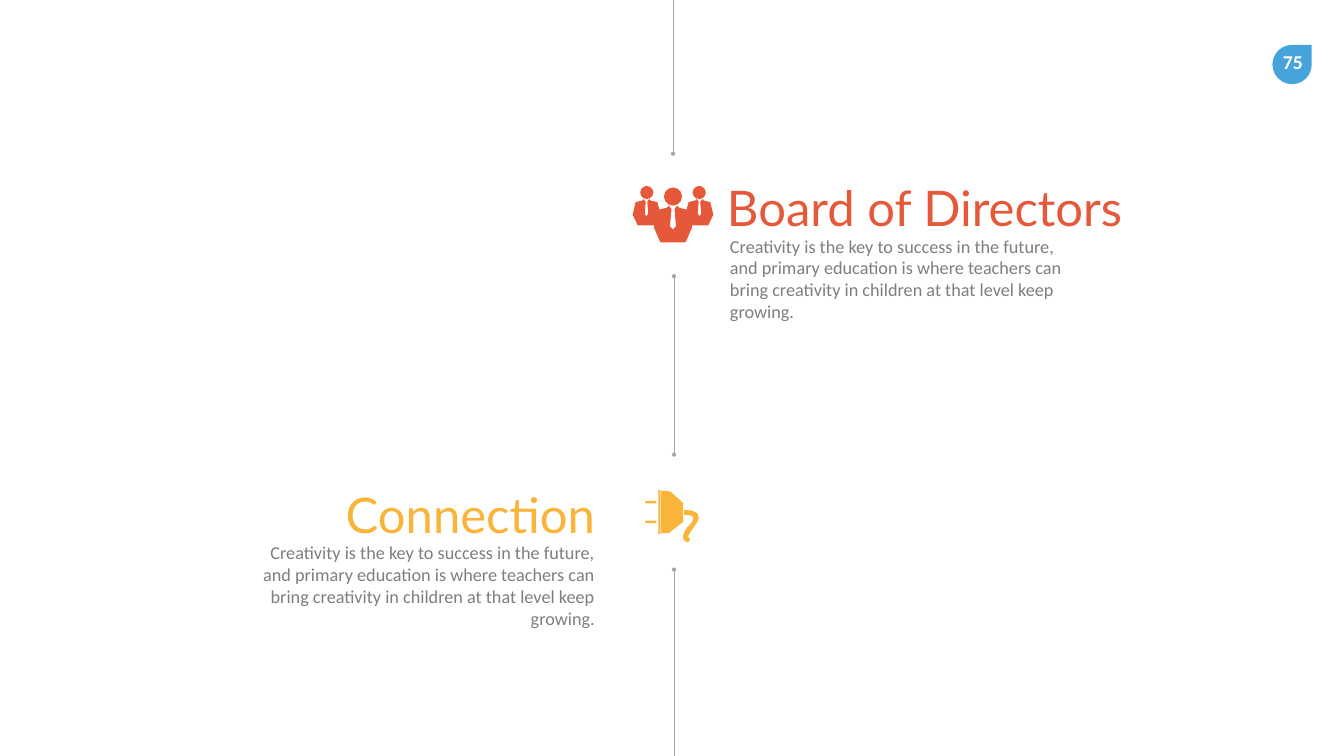
import lxml.etree
import pptx
import pptx.dml.color
import pptx.enum.shapes
import pptx.enum.text
import pptx.oxml.ns
import pptx.util

Inches = pptx.util.Inches
RGBColor = pptx.dml.color.RGBColor
MSO_SHAPE = pptx.enum.shapes.MSO_SHAPE
ALIGN = pptx.enum.text.PP_ALIGN
ANCHOR = pptx.enum.text.MSO_ANCHOR

BLUE = RGBColor(0x46, 0xA4, 0xDB)
RED = RGBColor(0xE5, 0x58, 0x3A)
YELLOW = RGBColor(0xF9, 0xB4, 0x39)
GREY = RGBColor(0x7E, 0x7E, 0x7E)
LINE_GREY = RGBColor(0xA6, 0xA6, 0xA6)
WHITE = RGBColor(0xFF, 0xFF, 0xFF)

BODY = ("Creativity is the key to success in the future, and primary education "
        "is where teachers can bring creativity in children at that level keep growing.")

# Left half of the three suits, from the middle tie's tip round to the bottom
SUITS_LEFT = [
    (0.74, 0.80), (0.77, 0.46), (0.72, 0.39), (0.68, 0.43), (0.53, 0.47),
    (0.49, 0.32), (0.36, 0.29), (0.33, 0.26), (0.29, 0.31), (0.31, 0.55),
    (0.27, 0.60), (0.24, 0.55), (0.26, 0.31), (0.21, 0.26), (0.19, 0.29),
    (0.06, 0.32), (0, 0.57), (0.10, 0.78), (0.43, 0.78), (0.42, 0.82), (0.55, 1.12),
]
PLUG_BODY = [(0.31, 0.02), (0.46, 0.02), (0.52, 0.05), (0.75, 0.26),
             (0.75, 0.64), (0.46, 0.86), (0.31, 0.86)]
# Cable: start point, then cubic curves as two controls and an end
CABLE_START = (0.77, 0.50)
CABLE_CURVES = [
    ((0.84, 0.50), (0.94, 0.50), (0.95, 0.55)),
    ((0.97, 0.60), (0.88, 0.70), (0.84, 0.73)),
    ((0.79, 0.81), (0.68, 0.95), (0.81, 1.03)),
    ((0.86, 1.06), (0.92, 0.97), (0.86, 0.95)),
    ((0.81, 0.92), (1.03, 0.66), (1.05, 0.60)),
    ((1.10, 0.42), (0.90, 0.40), (0.77, 0.40)),
]


def fill_plain(shape, color):
    shape.shadow.inherit = False
    shape.fill.solid()
    shape.fill.fore_color.rgb = color
    shape.line.fill.background()


def add_preset(shapes, kind, left, top, width, height, color):
    shape = shapes.add_shape(kind, Inches(left), Inches(top), Inches(width), Inches(height))
    fill_plain(shape, color)


def add_outline(shapes, left, top, points, color):
    corners = [(Inches(left + x), Inches(top + y)) for x, y in points]
    builder = shapes.build_freeform(*corners[0])
    builder.add_line_segments(corners[1:], close=True)
    fill_plain(builder.convert_to_shape(), color)


def curve_points(start, curves, steps=10):
    points = [start]
    for first, second, end in curves:
        origin = points[-1]
        for step in range(1, steps + 1):
            t = step / steps
            weights = ((1 - t) ** 3, 3 * t * (1 - t) ** 2, 3 * t * t * (1 - t), t ** 3)
            knots = (origin, first, second, end)
            points.append(tuple(sum(w * knot[axis] for w, knot in zip(weights, knots))
                                for axis in (0, 1)))
    return points


def add_text(slide, box, text, size, font, color, align=ALIGN.LEFT,
             anchor=ANCHOR.TOP, bold=False, wrap=True):
    shape = slide.shapes.add_textbox(*(Inches(length) for length in box))
    frame = shape.text_frame
    frame.word_wrap = wrap
    frame.vertical_anchor = anchor
    frame.margin_left = frame.margin_right = Inches(0.2)
    frame.margin_top = frame.margin_bottom = Inches(0.1)
    paragraph = frame.paragraphs[0]
    paragraph.text = text
    paragraph.alignment = align
    paragraph.font.size = pptx.util.Pt(size)
    paragraph.font.name = font
    paragraph.font.bold = bold
    paragraph.font.color.rgb = color


def add_timeline_line(slide, x, start, end, ends):
    line = slide.shapes.add_connector(pptx.enum.shapes.MSO_CONNECTOR.STRAIGHT,
                                      Inches(x), Inches(start), Inches(x), Inches(end))
    line.line.color.rgb = LINE_GREY
    line.line.width = pptx.util.Pt(0.5)
    qn = pptx.oxml.ns.qn
    properties = line._element.spPr
    outline = properties.find(qn("a:ln"))
    for end_name in ends:
        lxml.etree.SubElement(outline, qn("a:" + end_name), type="oval")
    lxml.etree.SubElement(properties, qn("a:effectLst"))


def add_people_icon(slide, left, top):
    shapes = slide.shapes.add_group_shape().shapes
    # Heads
    for x, y, size in ((0.62, 0.03, 0.36), (0.15, 0, 0.26), (1.19, 0, 0.26)):
        add_preset(shapes, MSO_SHAPE.OVAL, left + x, top + y, size, size, RED)
    # Suits, mirrored about the middle
    mirrored = [(1.6 - x, y) for x, y in reversed(SUITS_LEFT)]
    add_outline(shapes, left, top, [(0.8, 0.86)] + SUITS_LEFT + mirrored, RED)


def add_plug_icon(slide, left, top):
    shapes = slide.shapes.add_group_shape().shapes
    add_outline(shapes, left, top, curve_points(CABLE_START, CABLE_CURVES), YELLOW)
    add_outline(shapes, left, top, PLUG_BODY, YELLOW)
    # Two prongs and the face plate
    for x, y, width, height in ((0, 0.22, 0.22, 0.05), (0, 0.61, 0.22, 0.05),
                                (0.26, 0, 0.04, 0.88)):
        add_preset(shapes, MSO_SHAPE.RECTANGLE, left + x, top + y, width, height, YELLOW)


def add_entry(slide, title_box, body_box, title, color, align):
    add_text(slide, body_box, BODY, 26, "Calibri", GREY, align)
    add_text(slide, title_box, title, 70, "Lato", color, align, ANCHOR.MIDDLE)


def add_page_number(slide, left, top):
    add_preset(slide.shapes, MSO_SHAPE.TEAR, left, top, 0.78, 0.78, BLUE)
    add_text(slide, (left - 0.03, top + 0.01, 0.87, 0.67), "75", 28, "Calibri", WHITE,
             ALIGN.CENTER, bold=True, wrap=False)


def main():
    presentation = pptx.Presentation()
    presentation.slide_width = Inches(26.66)
    presentation.slide_height = Inches(15)
    slide = presentation.slides.add_slide(presentation.slide_layouts[6])

    add_page_number(slide, 25.24, 0.89)

    # Timeline
    add_timeline_line(slide, 13.35, 3.05, 0, ["headEnd"])
    add_timeline_line(slide, 13.37, 5.48, 9.02, ["headEnd", "tailEnd"])
    add_timeline_line(slide, 13.37, 11.3, 15, ["headEnd"])

    # Entries on either side
    add_entry(slide, (14.22, 3.47, 9.22, 1.29), (14.28, 4.56, 7.14, 2.13),
              "Board of Directors", RED, ALIGN.LEFT)
    add_people_icon(slide, 12.55, 3.69)
    add_entry(slide, (3.59, 9.56, 8.41, 1.29), (4.86, 10.65, 7.14, 2.04),
              "Connection", YELLOW, ALIGN.RIGHT)
    add_plug_icon(slide, 12.8, 9.72)

    presentation.save("out.pptx")


if __name__ == "__main__":
    main()
